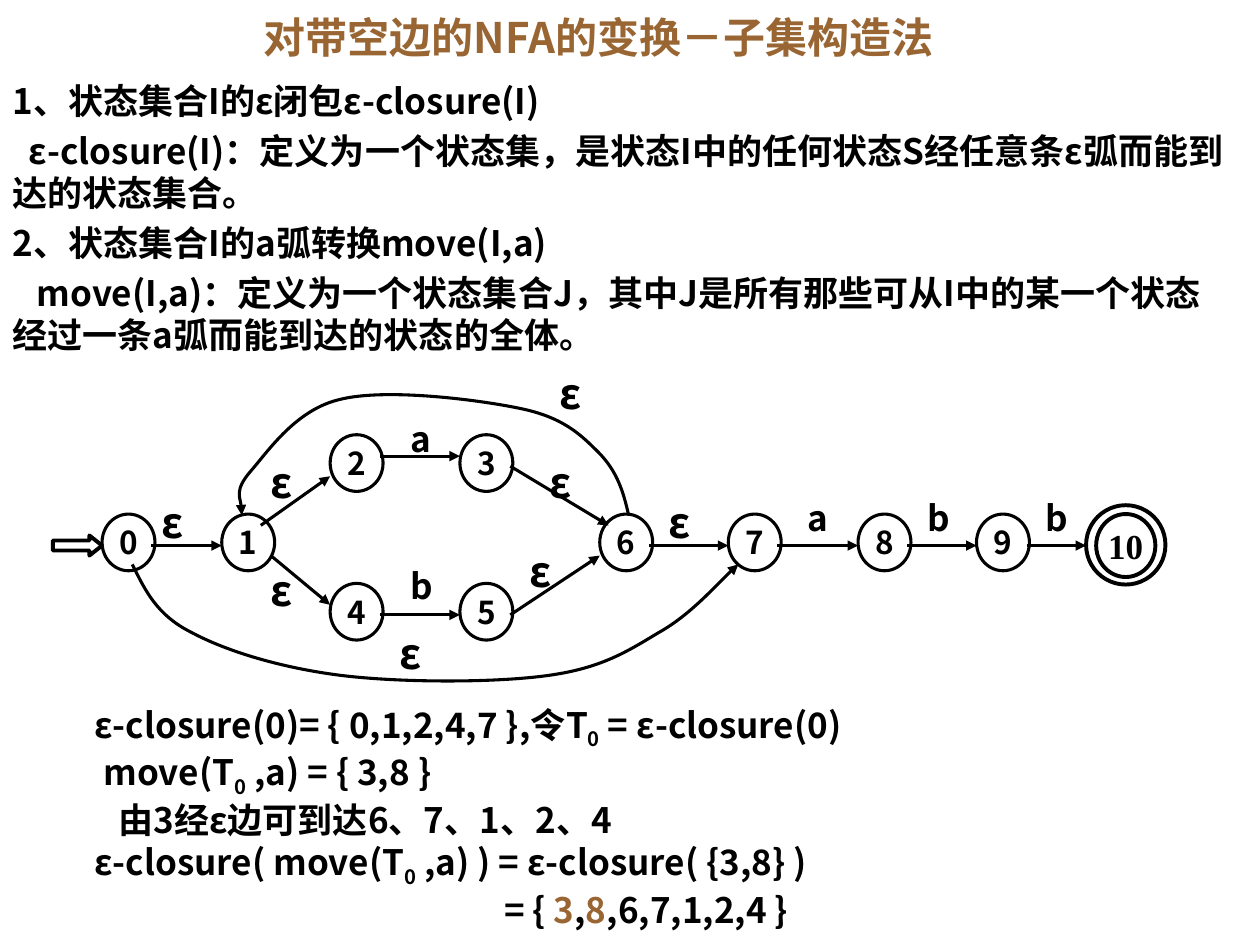
import pptx
import pptx.util
import pptx.dml.color
import pptx.enum.shapes
import pptx.enum.text
from dataclasses import dataclass
from lxml import etree
from pptx.oxml.ns import qn
from pptx.util import Inches, Pt

KIND = pptx.enum.shapes.MSO_SHAPE
ALIGN = pptx.enum.text.PP_ALIGN
MID = pptx.enum.text.MSO_ANCHOR.MIDDLE


@dataclass(frozen=True)
class Theme:
    ink: str = "000000"
    gold: str = "996633"
    face: str = "Noto Sans CJK SC"
    serif: str = "Times New Roman"
    head: int = 24
    text: int = 20
    node: int = 18
    thin: float = 1.75
    thick: float = 2.25


LOOK = Theme()

RULES = [
    ("1、状态集合I的ε闭包ε-closure(I)", 0),
    ("ε-closure(I)：定义为一个状态集，是状态I中的任何状态S经任意条ε弧而能到达的状态集合。", 0.13),
    ("2、状态集合I的a弧转换move(I,a)", 0),
    ("move(I,a)：定义为一个状态集合J，其中J是所有那些可从I中的某一个状态经过一条a弧而能到达的状态的全体。", 0.19),
]

STEPS = [
    (0, [("ε-closure(0)= { 0,1,2,4,7 },令T", ""), ("0", "sub"), (" = ε-closure(0)", "")]),
    (0.07, [("move(T", ""), ("0", "sub"), (" ,a) = { 3,8 }", "")]),
    (0.19, [("由3经ε边可到达6、7、1、2、4", "")]),
    (0, [("ε-closure( move(T", ""), ("0", "sub"), (" ,a) ) = ε-closure( {3,8} )", "")]),
    (3.25, [("= { ", ""), ("3", "gold"), (",", ""), ("8", "gold"), (",6,7,1,2,4 }", "")]),
]

ROW = 1.18
NODES = [
    ("0", 0.41, ROW), ("1", 1.36, ROW), ("2", 2.22, 0.55), ("3", 3.25, 0.55),
    ("4", 2.22, 1.73), ("5", 3.25, 1.73), ("6", 4.36, ROW), ("7", 5.38, ROW),
    ("8", 6.41, ROW), ("9", 7.35, ROW),
]
EDGES = [
    (0.8, 1.43, 1.36, 1.43), (1.67, 1.27, 2.22, 0.88), (2.62, 0.72, 3.25, 0.72),
    (1.75, 1.51, 2.22, 1.9), (2.62, 1.98, 3.25, 1.98), (3.65, 0.8, 4.43, 1.27),
    (3.65, 1.98, 4.36, 1.51), (4.75, 1.43, 5.38, 1.43), (5.77, 1.43, 6.41, 1.43),
    (6.8, 1.43, 7.35, 1.43), (7.75, 1.43, 8.22, 1.43),
]
TAGS = [
    ("ε", 0.88, 1.04), ("ε", 1.75, 0.72), ("a", 2.86, 0.41), ("ε", 1.75, 1.58),
    ("b", 2.86, 1.58), ("ε", 3.96, 0.72), ("ε", 3.8, 1.43), ("ε", 4.91, 1.04),
    ("a", 6.01, 1.04), ("b", 6.96, 1.04), ("b", 7.9, 1.04), ("ε", 4.04, 0.02),
    ("ε", 2.77, 2.08),
]
BACK = [
    (4.59, 1.19), (4.55, 1.01), (4.5, 0.84), (4.35, 0.69), (4.21, 0.55), (4.07, 0.41),
    (3.72, 0.34), (3.38, 0.27), (2.66, 0.18), (2.3, 0.27), (1.95, 0.35), (1.73, 0.68),
    (1.59, 0.84), (1.46, 0.99), (1.53, 1.13), (1.52, 1.19),
]
SKIP = [
    (0.65, 1.58), (0.75, 1.78), (0.84, 1.98), (1.12, 2.12), (1.4, 2.27), (1.83, 2.4),
    (2.3, 2.46), (2.78, 2.52), (3.54, 2.52), (3.96, 2.46), (4.38, 2.4), (4.58, 2.27),
    (4.83, 2.12), (5.08, 1.98), (5.35, 1.67), (5.46, 1.58),
]


def tint(code):
    return pptx.dml.color.RGBColor.from_string(code)


def style(para, size, color=LOOK.ink, face=LOOK.face):
    font = para.font
    font.size, font.bold, font.name = Pt(size), True, face
    font.color.rgb = tint(color)
    base = para._p.pPr.find(qn("a:defRPr"))
    etree.SubElement(base, qn("a:ea")).set("typeface", face)


def indent(para, first):
    prop = para._p.get_or_add_pPr()
    prop.set("marL", "0")
    prop.set("indent", str(Inches(first)))
    etree.SubElement(prop, qn("a:buNone"))


def frame(shape, inset=0):
    text = shape.text_frame
    text.word_wrap = True
    text.margin_left = text.margin_right = Inches(inset)
    text.margin_top = text.margin_bottom = Inches(inset / 2)
    return text


def place(shape, box):
    shape.left, shape.top, shape.width, shape.height = map(Inches, box)


def pen(shape, width, arrow=False):
    shape.line.color.rgb = tint(LOOK.ink)
    shape.line.width = Pt(width)
    if arrow:
        tail = etree.SubElement(shape.line._get_or_add_ln(), qn("a:tailEnd"))
        tail.set("type", "triangle")


def outline(group, kind, box, width, label="", size=LOOK.node, face=LOOK.face):
    shape = group.add_shape(kind, *map(Inches, box))
    shape.shadow.inherit = False
    shape.fill.background()
    pen(shape, width)
    if label:
        text = frame(shape)
        text.vertical_anchor = MID
        para = text.paragraphs[0]
        para.text = label
        para.alignment = ALIGN.CENTER
        style(para, size, face=face)
    return shape


def edge(group, x, y, ends):
    straight = pptx.enum.shapes.MSO_CONNECTOR.STRAIGHT
    a, b, c, d = ends
    line = group.add_connector(straight, *map(Inches, (x + a, y + b, x + c, y + d)))
    pen(line, LOOK.thin, True)
    etree.SubElement(line._element.spPr, qn("a:effectLst"))


def curve(group, x, y, points):
    spots = [(Inches(x + a), Inches(y + b)) for a, b in points]
    build = group.build_freeform(*spots[0])
    build.add_line_segments(spots[1:], close=False)
    shape = build.convert_to_shape()
    shape.shadow.inherit = False
    shape.fill.background()
    pen(shape, LOOK.thin, True)
    steps = list(shape._element.iter(qn("a:lnTo")))
    for i in range(0, len(steps), 3):
        bend = etree.Element(qn("a:cubicBezTo"))
        steps[i].addprevious(bend)
        for step in steps[i:i + 3]:
            bend.append(step[0])
            step.getparent().remove(step)


def tag(group, x, y, label):
    wide, high, size = (0.34, 0.4, LOOK.head) if label == "ε" else (0.2, 0.33, LOOK.text)
    para = frame(group.add_textbox(*map(Inches, (x, y, wide, high)))).paragraphs[0]
    para.text = label
    style(para, size)


def title(slide, box):
    shape = slide.shapes.title
    place(shape, box)
    text = frame(shape, 0.1)
    text.vertical_anchor = MID
    para = text.paragraphs[0]
    para.text = "对带空边的NFA的变换－子集构造法"
    para.alignment = ALIGN.CENTER
    style(para, LOOK.head, LOOK.gold)


def rules(slide, box):
    shape = slide.placeholders[1]
    place(shape, box)
    text = frame(shape, 0.1)
    for i, (words, first) in enumerate(RULES):
        para = text.add_paragraph() if i else text.paragraphs[0]
        para.text = words
        para.space_before = Pt(4.5 if i else 0)
        indent(para, first)
        style(para, LOOK.text)


def graph(slide, box):
    x, y = box[:2]
    group = slide.shapes.add_group_shape().shapes
    for label, a, b in NODES:
        outline(group, KIND.OVAL, (x + a, y + b, 0.42, 0.45), LOOK.thin, label)
    outline(group, KIND.OVAL, (x + 8.3, y + ROW, 0.47, 0.5), LOOK.thick,
            "10", LOOK.text, LOOK.serif)
    outline(group, KIND.OVAL, (x + 8.22, y + 1.11, 0.63, 0.63), LOOK.thick)
    start = outline(group, KIND.RIGHT_ARROW, (x + 0.02, y + 1.35, 0.39, 0.16), LOOK.thick)
    start.adjustments[1] = 0.63
    for ends in EDGES:
        edge(group, x, y, ends)
    for points in (BACK, SKIP):
        curve(group, x, y, points)
    for label, a, b in TAGS:
        tag(group, x + a, y + b, label)


def steps(slide, box):
    text = frame(slide.shapes.add_textbox(*map(Inches, box)))
    for i, (first, parts) in enumerate(STEPS):
        para = text.add_paragraph() if i else text.paragraphs[0]
        indent(para, first)
        style(para, LOOK.text)
        for words, mark in parts:
            run = para.add_run()
            run.text = words
            if mark == "sub":
                run._r.get_or_add_rPr().set("baseline", "-25000")
            elif mark == "gold":
                run.font.color.rgb = tint(LOOK.gold)


def main():
    deck = pptx.Presentation()
    deck.slide_width, deck.slide_height = Inches(10), Inches(7.5)
    slide = deck.slides.add_slide(deck.slide_layouts[1])
    title(slide, (0.25, 0, 9, 0.58))
    rules(slide, (0, 0.58, 9.83, 2.42))
    graph(slide, (0.4, 2.9, 8.85, 2.52))
    steps(slide, (0.75, 5.58, 7.75, 1.67))
    deck.save("out.pptx")


if __name__ == "__main__":
    main()
